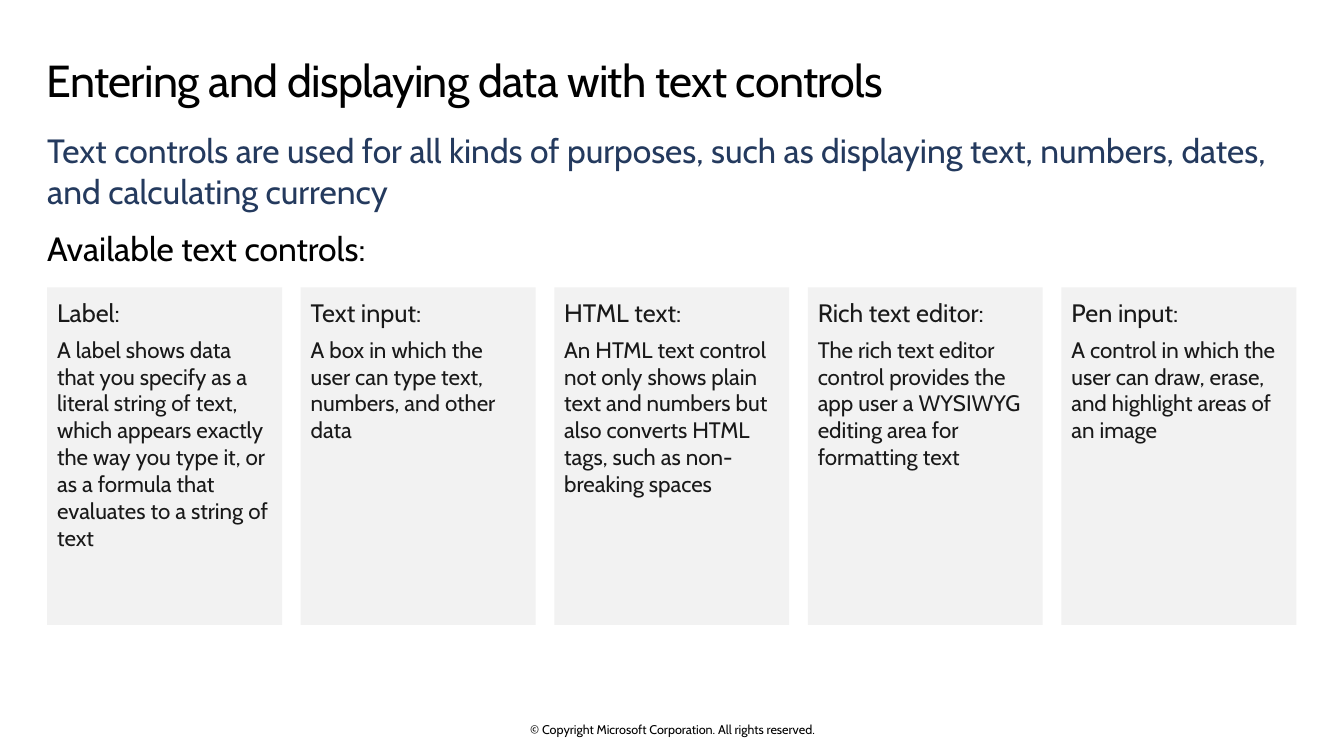
"""Build a slide that introduces the five text controls."""
from pptx import Presentation
from pptx.dml.color import RGBColor
from pptx.enum.shapes import MSO_SHAPE
from pptx.enum.text import MSO_ANCHOR, PP_ALIGN
from pptx.util import Cm, Pt

BLACK = RGBColor(0x00, 0x00, 0x00)
NAVY = RGBColor(0x24, 0x3A, 0x5E)
CHARCOAL = RGBColor(0x19, 0x19, 0x19)
LIGHT_GRAY = RGBColor(0xF2, 0xF2, 0xF2)
FONT = "Cabin"

CARD_LEFT, CARD_TOP = 1.19, 7.24
CARD_WIDTH, CARD_HEIGHT = 5.92, 8.51
CARD_STEP = 6.39

CONTROLS = [
    ("Label:", "A label shows data that you specify as a literal string of text, "
     "which appears exactly the way you type it, or as a formula that "
     "evaluates to a string of text"),
    ("Text input:", "A box in which the user can type text, numbers, and other data"),
    ("HTML text:", "An HTML text control not only shows plain text and numbers but "
     "also converts HTML tags, such as non-breaking spaces"),
    ("Rich text editor:", "The rich text editor control provides the app user a "
     "WYSIWYG editing area for formatting text"),
    ("Pen input:", "A control in which the user can draw, erase, and highlight "
     "areas of an image"),
]


def set_frame(shape, margins=(0, 0, 0, 0), anchor=MSO_ANCHOR.TOP):
    frame = shape.text_frame
    frame.word_wrap = True
    frame.vertical_anchor = anchor
    frame.margin_left, frame.margin_top, frame.margin_right, frame.margin_bottom = map(Cm, margins)
    return frame


def add_text(frame, text, size, color=BLACK, align=PP_ALIGN.LEFT, before=0, after=0,
             line_spacing=1.0, character_spacing=0):
    paragraph = frame.paragraphs[0]
    if paragraph.runs:
        paragraph = frame.add_paragraph()
    paragraph.alignment = align
    paragraph.space_before = Pt(before)
    paragraph.space_after = Pt(after)
    paragraph.line_spacing = line_spacing
    run = paragraph.add_run()
    run.text = text
    run.font.name = FONT
    run.font.size = Pt(size)
    run.font.color.rgb = color
    if character_spacing:
        run.font._element.set("spc", str(round(character_spacing * 100)))


presentation = Presentation()
presentation.slide_width = Cm(33.87)
presentation.slide_height = Cm(19.05)
slide = presentation.slides.add_slide(presentation.slide_layouts[6])

footer = slide.shapes.add_textbox(Cm(11.23), Cm(18.19), Cm(11.43), Cm(0.38))
add_text(set_frame(footer, anchor=MSO_ANCHOR.MIDDLE),
         "© Copyright Microsoft Corporation. All rights reserved.", 9, align=PP_ALIGN.CENTER)

title = slide.shapes.add_textbox(Cm(1.17), Cm(1.22), Cm(31.5), Cm(1.88))
add_text(set_frame(title, margins=(0, 0.25, 0.41, 0.25)),
         "Entering and displaying data with text controls", 32,
         line_spacing=0.9, character_spacing=-0.5)

introduction = slide.shapes.add_textbox(Cm(CARD_LEFT), Cm(3.28), Cm(31.47), Cm(3.51))
introduction_frame = set_frame(introduction)
add_text(introduction_frame,
         "Text controls are used for all kinds of purposes, such as displaying text, "
         "numbers, dates, and calculating currency", 24, color=NAVY)
add_text(introduction_frame, "Available text controls:", 24, before=12)

for index, (name, description) in enumerate(CONTROLS):
    card = slide.shapes.add_shape(
        MSO_SHAPE.RECTANGLE, Cm(CARD_LEFT + index * CARD_STEP), Cm(CARD_TOP),
        Cm(CARD_WIDTH), Cm(CARD_HEIGHT))
    card.shadow.inherit = False
    card.fill.solid()
    card.fill.fore_color.rgb = LIGHT_GRAY
    card.line.fill.background()
    card_frame = set_frame(card, margins=(0.25, 0.25, 0.25, 0.25))
    add_text(card_frame, name, 18, color=CHARCOAL, after=6)
    add_text(card_frame, description, 16, color=CHARCOAL, after=6)

presentation.save("out.pptx")
